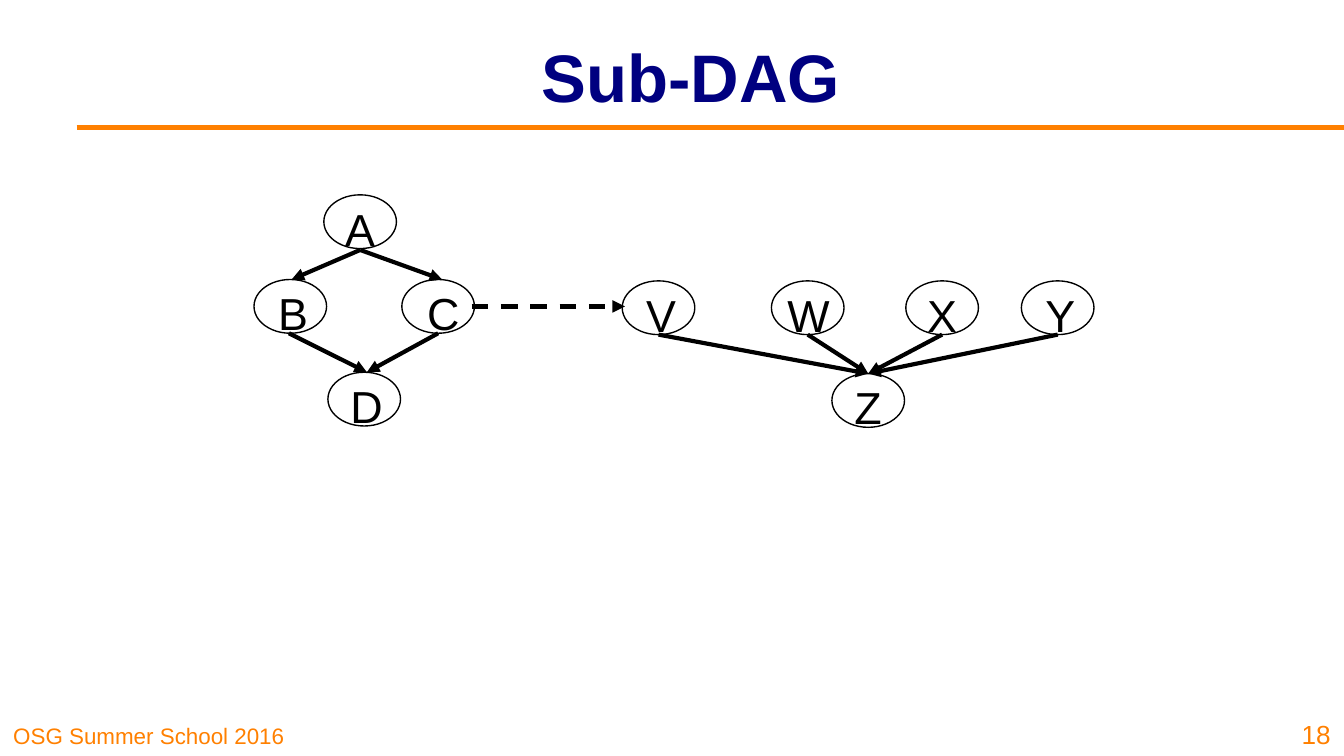
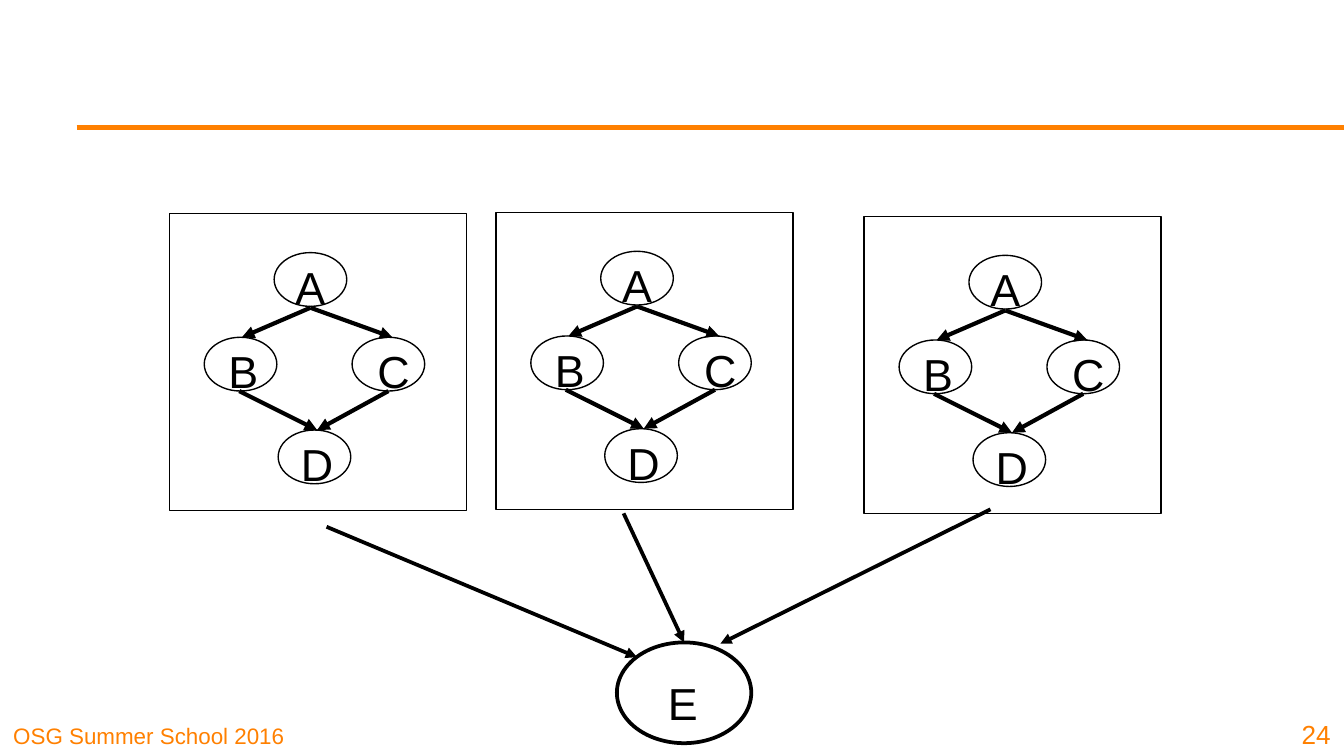
from pptx import Presentation
from pptx.dml.color import RGBColor
from pptx.enum.dml import MSO_LINE
from pptx.enum.shapes import MSO_CONNECTOR, MSO_SHAPE
from pptx.enum.text import MSO_ANCHOR, PP_ALIGN
from pptx.oxml.ns import qn
from pptx.util import Inches, Pt
from lxml import etree

STRAIGHT = MSO_CONNECTOR.STRAIGHT
ELLIPSE = MSO_SHAPE.OVAL
RECTANGLE = MSO_SHAPE.RECTANGLE
DASH = MSO_LINE.DASH
TOP, MIDDLE, BOTTOM = MSO_ANCHOR.TOP, MSO_ANCHOR.MIDDLE, MSO_ANCHOR.BOTTOM
LEFT, CENTER, RIGHT = PP_ALIGN.LEFT, PP_ALIGN.CENTER, PP_ALIGN.RIGHT

FONT = "Arial"
BLACK, ORANGE, NAVY = "000000", "FF8000", "000080"
PAGE_WIDTH = 10
PAGE_HEIGHT = PAGE_WIDTH * 9 / 16
NODE_WIDTH, NODE_HEIGHT = 0.54, 0.4
FRAME_SIZE = 2.21
LABELS = {
    "A": (0.06, 0.42), "B": (0.08, 0.42), "C": (0.09, 0.44),
    "D": (0.07, 0.44), "V": (0.08, 0.42), "W": (0.02, 0.51),
    "X": (0.06, 0.42), "Y": (0.08, 0.42), "Z": (0.07, 0.4),
}
DIAMOND_NODES = {"A": (0.52, 0), "B": (0, 0.63), "C": (1.1, 0.63), "D": (0.55, 1.32)}
DIAMOND_ARROWS = [
    ((0.79, 0.41), (0.28, 0.63)),
    ((0.79, 0.41), (1.4, 0.63)),
    ((0.26, 1.03), (0.84, 1.32)),
    ((1.37, 1.03), (0.84, 1.32)),
]


def color(value):
    return RGBColor.from_string(value)


def add_text(shapes, box, text, size, ink, align=LEFT, anchor=TOP, bold=False, wrap=True):
    frame = shapes.add_textbox(*map(Inches, box)).text_frame
    frame.word_wrap = wrap
    frame.vertical_anchor = anchor
    para = frame.paragraphs[0]
    para.alignment = align
    span = para.add_run()
    span.text = text
    span.font.name = FONT
    span.font.size = Pt(size)
    span.font.bold = bold
    span.font.color.rgb = color(ink)


def add_label(shapes, box, letter):
    add_text(shapes, box, letter, 24, BLACK, wrap=False)


def add_outline(shapes, kind, box, width=0.75):
    shape = shapes.add_shape(kind, *map(Inches, box))
    shape.shadow.inherit = False
    shape.fill.background()
    shape.line.color.rgb = color(BLACK)
    shape.line.width = Pt(width)
    return shape


def add_line(shapes, start, end, ink, width):
    line = shapes.add_connector(STRAIGHT, *map(Inches, (*start, *end)))
    line.line.color.rgb = color(ink)
    line.line.width = Pt(width)
    etree.SubElement(line._element.spPr, qn("a:effectLst"))
    return line


def add_arrow(shapes, start, end, width=2.25, dash=None):
    arrow = add_line(shapes, start, end, BLACK, width)
    if dash:
        arrow.line.dash_style = dash
    etree.SubElement(arrow.line._get_or_add_ln(), qn("a:tailEnd"), type="triangle")
    return arrow


def add_node(shapes, letter, left, top):
    add_outline(shapes, ELLIPSE, (left, top, NODE_WIDTH, NODE_HEIGHT))
    shift, width = LABELS[letter]
    add_label(shapes, (left + shift, top, width, 0.5), letter)


def add_diamond(shapes, left, top):
    for letter, (x, y) in DIAMOND_NODES.items():
        add_node(shapes, letter, left + x, top + y)
    for start, end in DIAMOND_ARROWS:
        add_arrow(shapes, (left + start[0], top + start[1]), (left + end[0], top + end[1]))


def add_framed_diamond(page, left, top):
    group = page.shapes.add_group_shape()
    add_diamond(group.shapes, left + 0.26, top + 0.29)
    add_outline(group.shapes, RECTANGLE, (left, top, FRAME_SIZE, FRAME_SIZE))


def add_fan_in(page, left, top):
    target = (left + 1.83, top + 0.69)
    for letter, x in {"V": 0, "W": 1.11, "X": 2.11, "Y": 2.97}.items():
        add_node(page.shapes.add_group_shape().shapes, letter, left + x, top)
        add_arrow(page.shapes, (left + x + NODE_WIDTH / 2, top + NODE_HEIGHT), target)
    add_node(page.shapes.add_group_shape().shapes, "Z", target[0] - NODE_WIDTH / 2, target[1])


def add_page(deck, number, title=None):
    page = deck.slides.add_slide(deck.slide_layouts[6])
    add_text(page.shapes, (0, 5.31, 2.48, 0.31), "OSG Summer School 2016", 12, ORANGE, anchor=BOTTOM)
    add_line(page.shapes, (0.57, 0.95), (PAGE_WIDTH, 0.95), ORANGE, 3)
    if title:
        add_text(page.shapes, (1.34, 0.09, 7.6, 0.94), title, 36, NAVY, CENTER, MIDDLE, True)
    add_text(page.shapes, (9.54, 5.25, 0.46, 0.38), number, 14, ORANGE, RIGHT, BOTTOM)
    return page


def build_sub_dag(deck):
    page = add_page(deck, "18", "Sub-DAG")
    add_diamond(page.shapes.add_group_shape().shapes, 1.89, 1.45)
    add_arrow(page.shapes, (3.51, 2.28), (4.65, 2.28), dash=DASH)
    add_fan_in(page, 4.63, 2.09)


def build_joined_dags(deck):
    page = add_page(deck, "24")
    for left, top in [(1.26, 1.59), (3.69, 1.58), (6.43, 1.61)]:
        add_framed_diamond(page, left, top)
    join = add_outline(page.shapes, ELLIPSE, (4.59, 4.78, 1, 0.75), 2)
    add_label(page.shapes, (4.87, 4.98, 0.35, 0.5), "E")
    add_arrow(page.shapes, (2.43, 3.92), (4.74, 4.89), 2)
    add_arrow(page.shapes, (4.64, 3.82), (5.09, 4.78), 2).end_connect(join, 0)
    add_arrow(page.shapes, (7.37, 3.79), (5.36, 4.79), 2)


def main():
    deck = Presentation()
    deck.slide_width = Inches(PAGE_WIDTH)
    deck.slide_height = Inches(PAGE_HEIGHT)
    build_sub_dag(deck)
    build_joined_dags(deck)
    deck.save("out.pptx")


if __name__ == "__main__":
    main()
